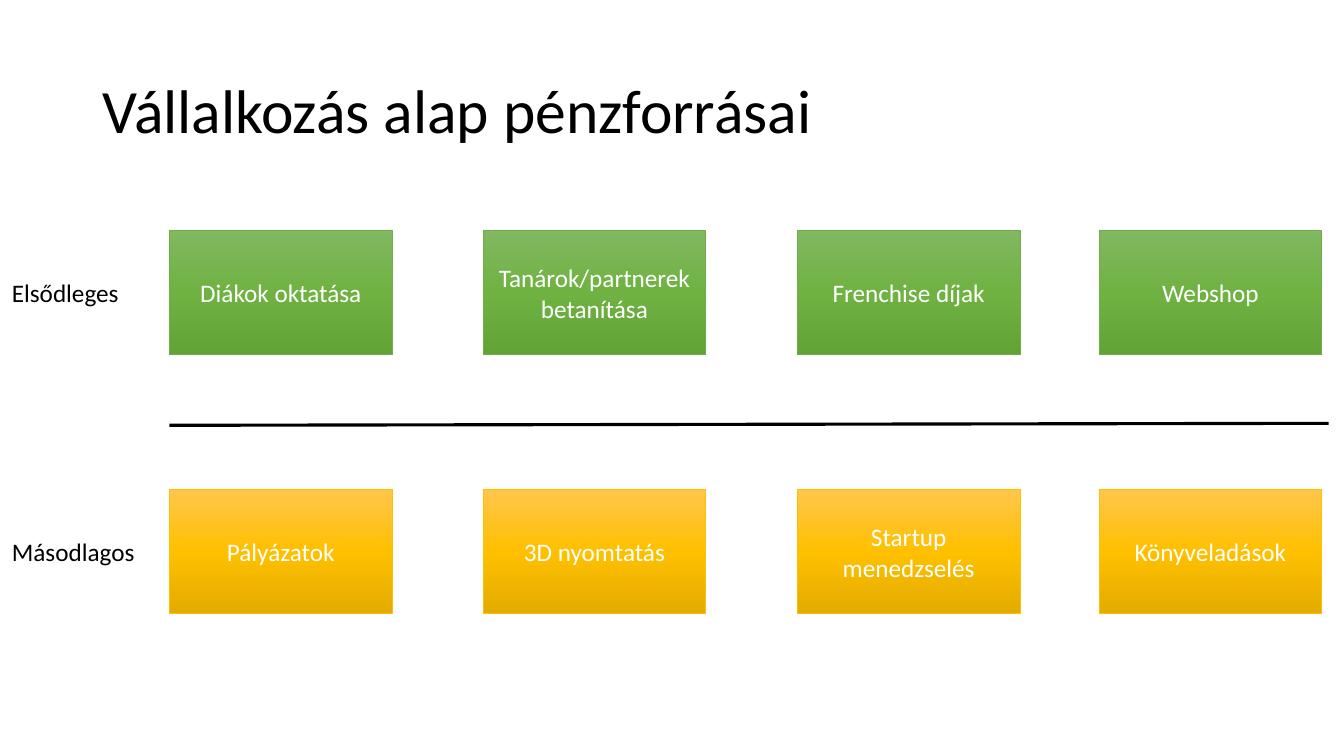
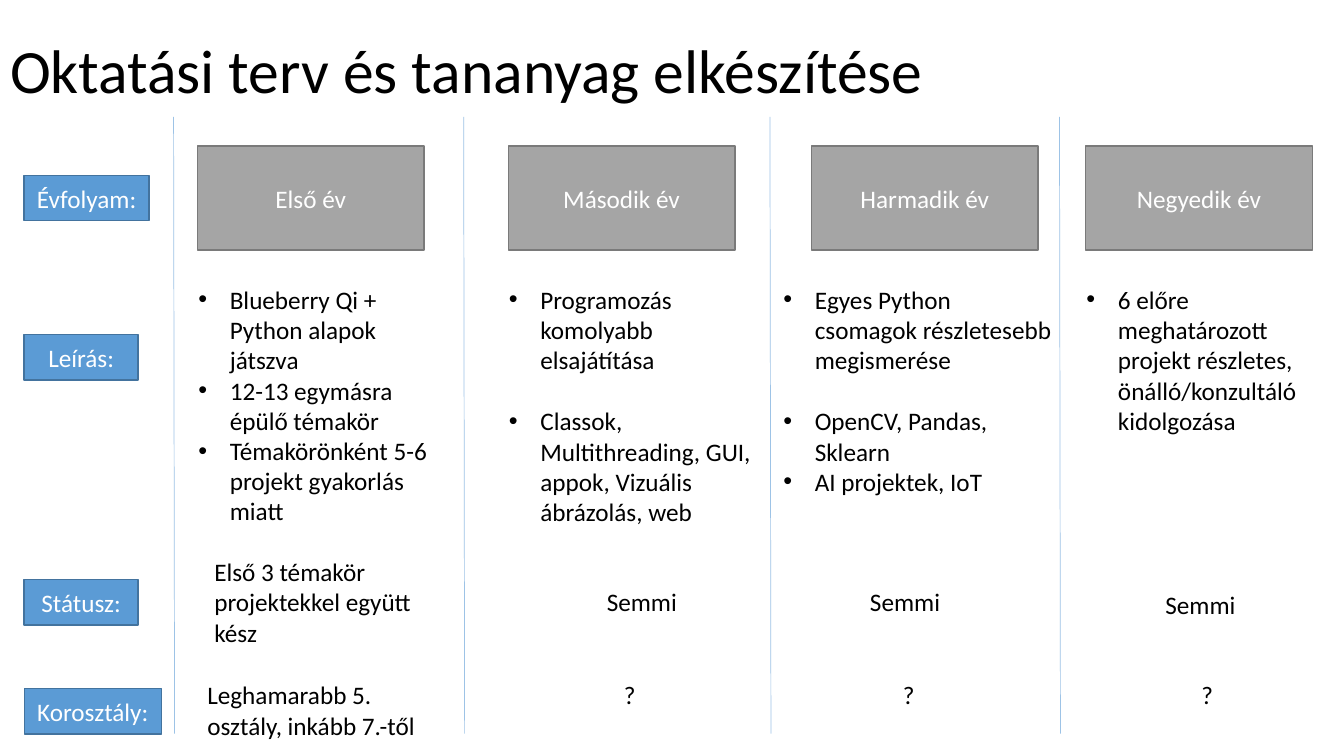
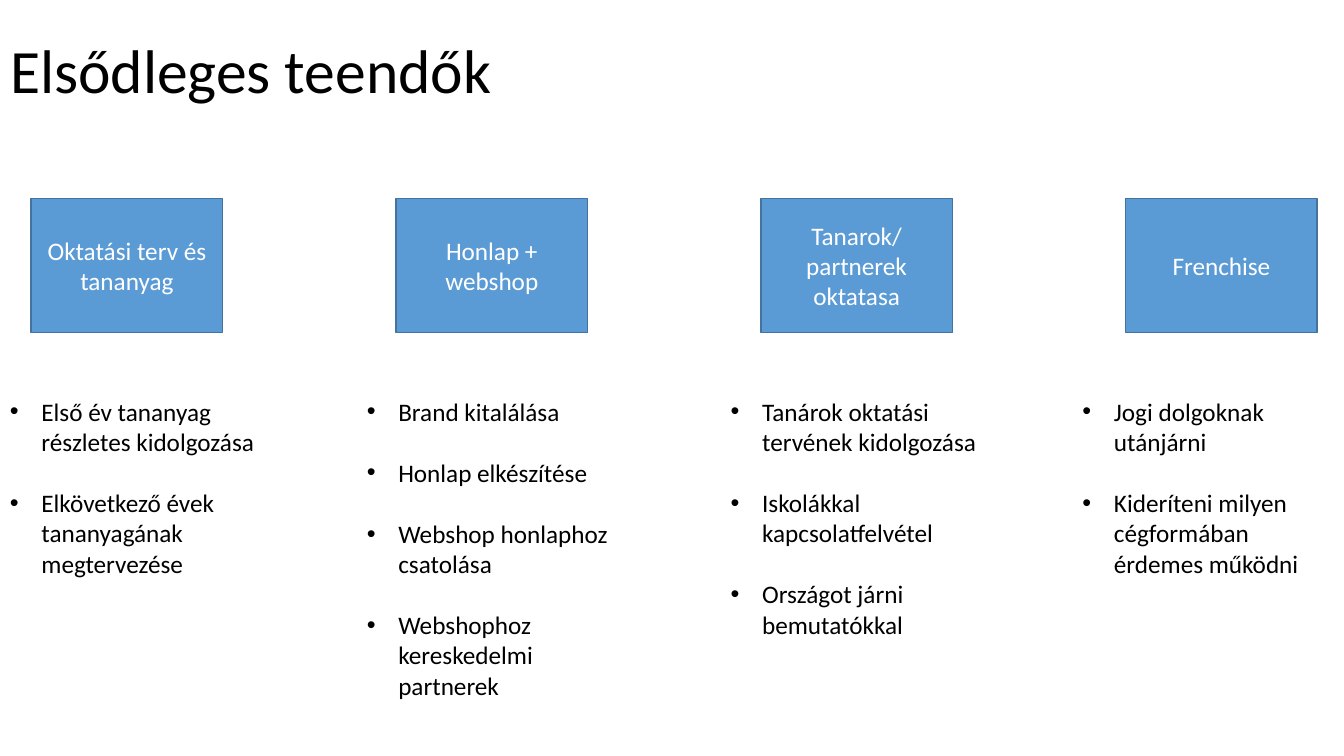
from copy import deepcopy
from dataclasses import dataclass

from lxml.etree import SubElement
from pptx import Presentation
from pptx.dml.color import RGBColor
from pptx.enum.shapes import MSO_CONNECTOR, MSO_SHAPE
from pptx.enum.text import MSO_ANCHOR, PP_ALIGN
from pptx.oxml.ns import qn
from pptx.util import Pt

FONT = "Calibri"
BODY_SIZE = 18
BLANK_LINE = 22
COLORS = {
    "text": "000000",
    "white": "FFFFFF",
    "blue": "5B9BD5",
    "blue_line": "43739E",
    "gray": "A5A5A5",
    "gray_line": "7A7A7A",
    "divider": "9DC3E6",
    "green_line": "70AD47",
    "gold_line": "FFC000",
}
GRADIENTS = {
    "green": ("81B861", "6FB242", "62A336"),
    "gold": ("FFC64B", "FFC000", "E3AB00"),
}


@dataclass
class SchoolYear:
    name: str
    header_left: float
    topics: list
    topics_left: float
    topics_width: float
    gaps: tuple
    status: str
    status_left: float
    status_top: float
    age: str
    age_left: float
    divider_left: float
    alignment: PP_ALIGN = PP_ALIGN.CENTER


SOURCES = [
    ("Elsődleges", 164.9, "green",
     ["Diákok oktatása", "Tanárok/partnerek betanítása", "Frenchise díjak", "Webshop"]),
    ("Másodlagos", 349.9, "gold",
     ["Pályázatok", "3D nyomtatás", "Startup menedzselés", "Könyveladások"]),
]
SOURCE_LEFTS = [121, 345, 569.5, 785]

ROW_LABELS = [
    ("Évfolyam:", 125.3, 89.3),
    ("Leírás:", 239, 81.4),
    ("Státusz:", 414, 81.4),
    ("Korosztály:", 491.8, 98),
]
YEARS = [
    SchoolYear("Első év", 141,
               ["Blueberry Qi + Python alapok játszva",
                "12-13 egymásra épülő témakör",
                "Témakörönként 5-6 projekt gyakorlás miatt"],
               134.6, 194.4, (),
               "Első 3 témakör projektekkel együtt kész", 146, 394,
               "Leghamarabb 5. osztály, inkább 7.-től", 141, 124, PP_ALIGN.LEFT),
    SchoolYear("Második év", 363,
               ["Programozás komolyabb elsajátítása",
                "Classok, Multithreading, GUI, appok, Vizuális ábrázolás, web"],
               356.4, 194.4, (1,), "Semmi", 367, 415.5, "?", 363, 331.2),
    SchoolYear("Harmadik év", 579.6,
               ["Egyes Python csomagok részletesebb megismerése",
                "OpenCV, Pandas, Sklearn",
                "AI projektek, IoT"],
               552.4, 210.2, (1,), "Semmi", 555, 415.5, "?", 562.3, 550),
    SchoolYear("Negyedik év", 775.5,
               ["6 előre meghatározott projekt részletes, önálló/konzultáló kidolgozása"],
               769, 194.4, (), "Semmi", 766, 417.6, "?", 775.5, 756.8),
]

TASKS = [
    ("Oktatási terv és tananyag", 0,
     ["Első év tananyag részletes kidolgozása",
      "Elkövetkező évek tananyagának megtervezése"]),
    ("Honlap + webshop", 254.9,
     ["Brand kitalálása", "Honlap elkészítése", "Webshop honlaphoz csatolása",
      "Webshophoz kereskedelmi partnerek"]),
    ("Tanarok/partnerek oktatasa", 514.8,
     ["Tanárok oktatási tervének kidolgozása", "Iskolákkal kapcsolatfelvétel",
      "Országot járni bemutatókkal"]),
    ("Frenchise", 766.1,
     ["Jogi dolgoknak utánjárni",
      "Kideríteni milyen cégformában érdemes működni"]),
]


def color(name):
    return RGBColor.from_string(COLORS[name])


def add_bullet(paragraph):
    properties = paragraph._p.get_or_add_pPr()
    properties.set("marL", str(Pt(22.5)))
    properties.set("indent", str(Pt(-22.5)))
    SubElement(properties, qn("a:buFont"), typeface="Arial")
    SubElement(properties, qn("a:buChar"), char="•")


def write_text(frame, lines, size=BODY_SIZE, ink="text", alignment=PP_ALIGN.LEFT,
               anchor=MSO_ANCHOR.TOP, bullets=False, gaps=(), line_spacing=None):
    frame.word_wrap = True
    frame.vertical_anchor = anchor
    for index, line in enumerate(lines):
        paragraph = frame.add_paragraph() if index else frame.paragraphs[0]
        paragraph.alignment = alignment
        paragraph.line_spacing = line_spacing
        if index in gaps:
            paragraph.space_before = Pt(BLANK_LINE)
        if bullets:
            add_bullet(paragraph)
        run = paragraph.add_run()
        run.text = line
        run.font.name = FONT
        run.font.size = Pt(size)
        run.font.color.rgb = color(ink)


def add_titled_slide(presentation, title, left=0, top=0):
    slide = presentation.slides.add_slide(presentation.slide_layouts[5])
    shape = slide.shapes.title
    shape.left, shape.top, shape.width, shape.height = Pt(left), Pt(top), Pt(828), Pt(104.4)
    write_text(shape.text_frame, [title], size=44, anchor=MSO_ANCHOR.MIDDLE, line_spacing=0.9)
    return slide


def add_text(slide, lines, left, top, width, height=29, **text_format):
    box = slide.shapes.add_textbox(Pt(left), Pt(top), Pt(width), Pt(height))
    write_text(box.text_frame, lines, **text_format)


def fill_gradient(shape, stops):
    shape.fill.gradient()
    shape.fill.gradient_angle = 270
    stop_list = shape._element.spPr.find(".//" + qn("a:gsLst"))
    stop_list.append(deepcopy(stop_list[0]))
    for index, (stop, value) in enumerate(zip(shape.fill.gradient_stops, stops)):
        stop.position = index / 2
        stop.color.rgb = RGBColor.from_string(value)


def add_box(slide, text, left, top, width, height, fill="blue", line_width=1):
    shape = slide.shapes.add_shape(MSO_SHAPE.RECTANGLE, Pt(left), Pt(top), Pt(width), Pt(height))
    shape.shadow.inherit = False
    if fill in GRADIENTS:
        fill_gradient(shape, GRADIENTS[fill])
    else:
        shape.fill.solid()
        shape.fill.fore_color.rgb = color(fill)
    shape.line.color.rgb = color(fill + "_line")
    shape.line.width = Pt(line_width)
    write_text(shape.text_frame, [text], ink="white", alignment=PP_ALIGN.CENTER,
               anchor=MSO_ANCHOR.MIDDLE)


def add_line(slide, start, end, ink, width):
    connector = slide.shapes.add_connector(
        MSO_CONNECTOR.STRAIGHT, *(Pt(value) for value in (*start, *end)))
    connector.line.color.rgb = color(ink)
    connector.line.width = Pt(width)
    SubElement(connector._element.spPr, qn("a:effectLst"))


def build_sources(presentation):
    slide = add_titled_slide(presentation, "Vállalkozás alap pénzforrásai", 66, 28.8)
    for label, top, fill, names in SOURCES:
        add_text(slide, [label], 1.4, top + 29.5, 108)
        for left, name in zip(SOURCE_LEFTS, names):
            add_box(slide, name, left, top, 159.2, 88.6, fill, 0.5)
    add_line(slide, (121, 303.8), (949, 302.4), "text", 2.25)


def build_curriculum(presentation):
    slide = add_titled_slide(presentation, "Oktatási terv és tananyag elkészítése")
    for label, top, width in ROW_LABELS:
        add_box(slide, label, 17.3, top, width, 32.4)
    for year in YEARS:
        add_line(slide, (year.divider_left, 83.5), (year.divider_left + 0.7, 524), "divider", 0.5)
        add_box(slide, year.name, year.header_left, 104.4, 162, 74.2, "gray")
        add_text(slide, year.topics, year.topics_left, 199.4, year.topics_width, 181,
                 bullets=True, gaps=year.gaps)
        add_text(slide, [year.status], year.status_left, year.status_top, 183,
                 alignment=year.alignment)
        add_text(slide, [year.age], year.age_left, 482, 173.5, alignment=year.alignment)


def build_tasks(presentation):
    slide = add_titled_slide(presentation, "Elsődleges teendők")
    for index, (name, list_left, steps) in enumerate(TASKS):
        add_box(slide, name, 22.3 + 260.6 * index, 141.8, 136.8, 95.8)
        add_text(slide, steps, list_left, 279.4, 193.7, 138,
                 bullets=True, gaps=range(1, len(steps)))


def main():
    presentation = Presentation()
    presentation.slide_width = Pt(960)
    presentation.slide_height = Pt(540)
    build_sources(presentation)
    build_curriculum(presentation)
    build_tasks(presentation)
    presentation.save("out.pptx")


if __name__ == "__main__":
    main()
